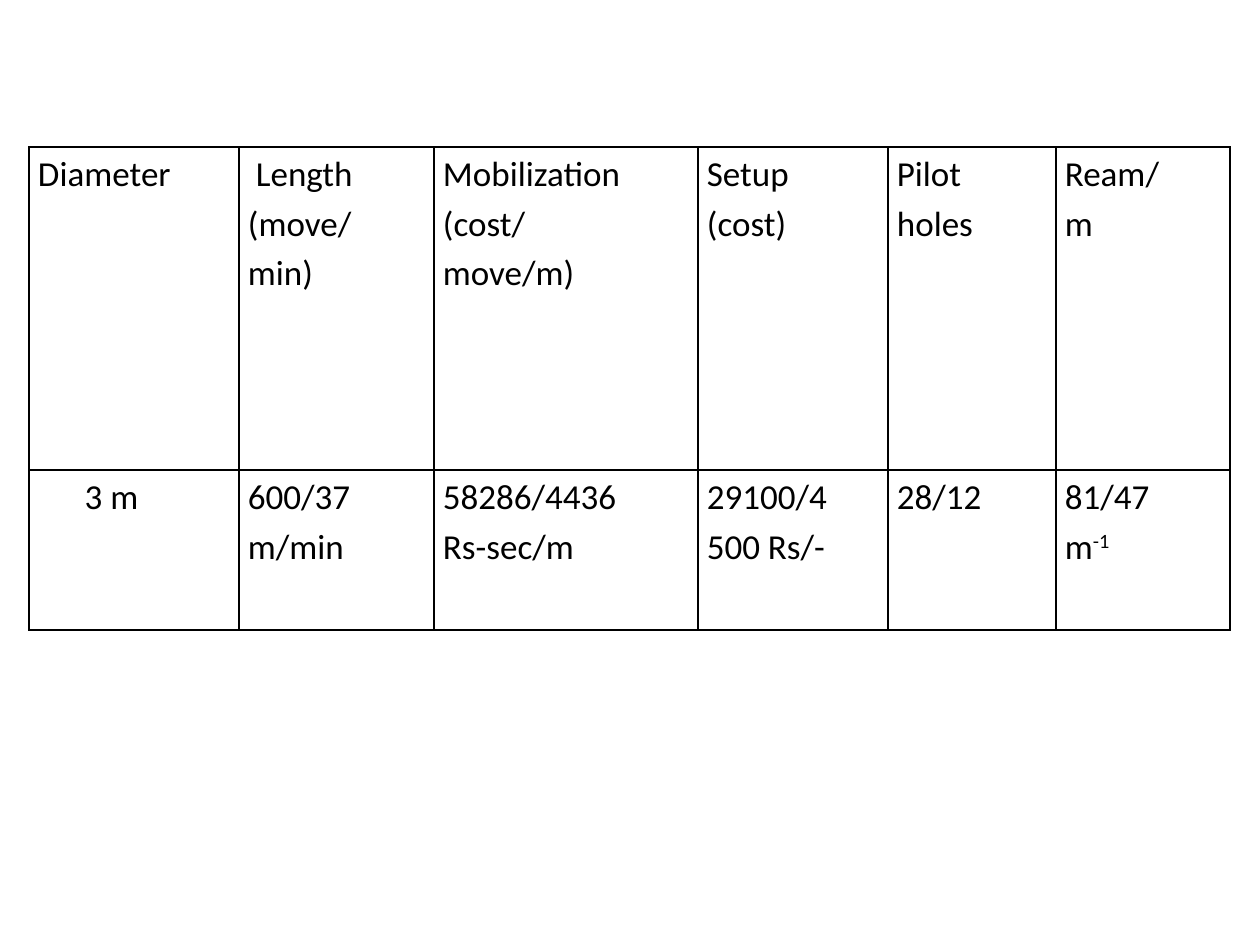
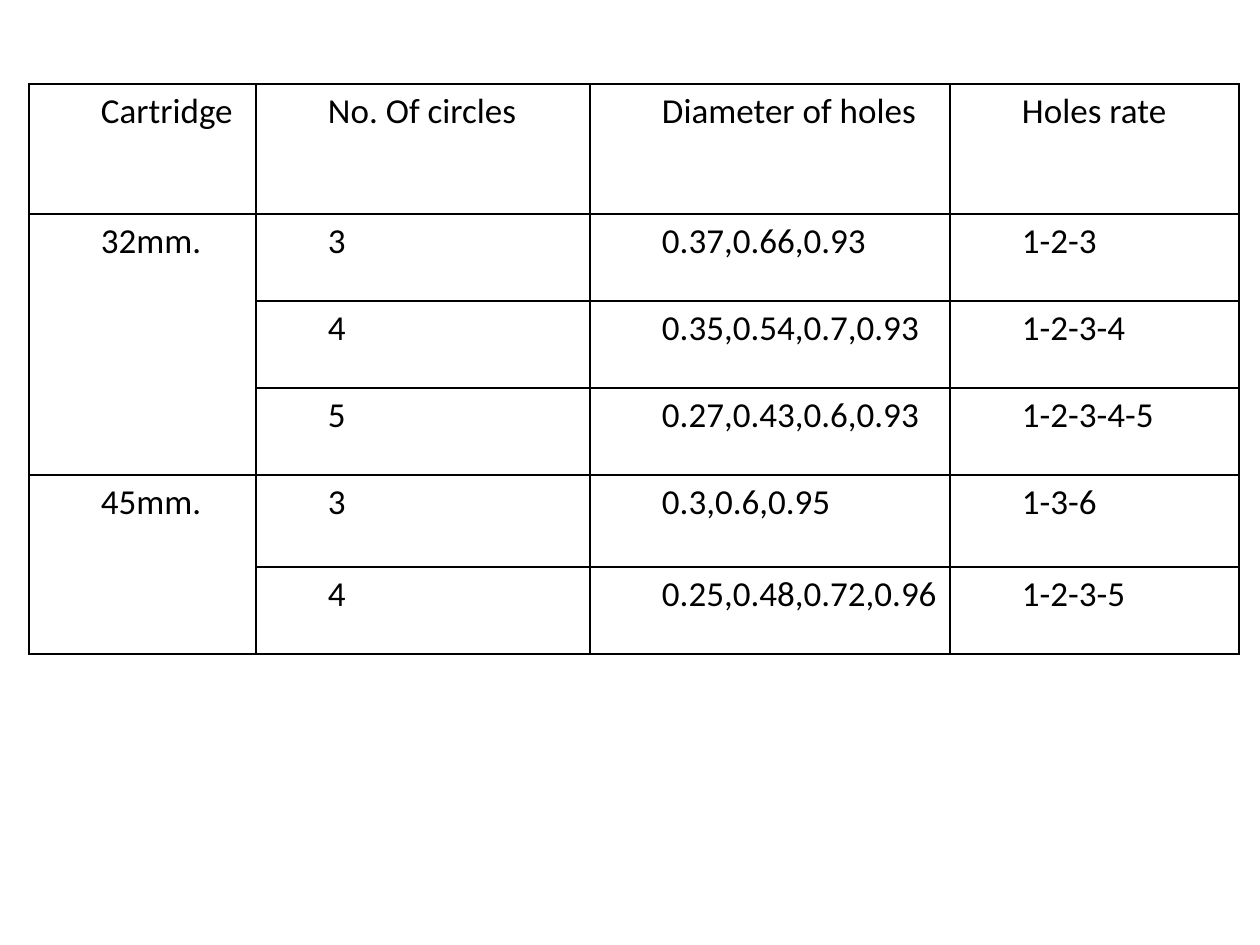
from lxml.etree import SubElement
from pptx import Presentation
from pptx.dml.color import RGBColor
from pptx.enum.text import PP_ALIGN
from pptx.oxml.ns import qn
from pptx.util import Emu, Pt

SCALE = 914400 / 126
HUES = {"ink": "000000"}
LEFT = 29


def px(n):
    return Emu(round(n * SCALE))


FONT = {"name": "Calibri", "size": Pt(20), "bold": False}
PARA = {"line_spacing": 1.15}
INSET = {"margin_left": px(9), "margin_right": px(9),
         "margin_top": 0, "margin_bottom": 0}
PLAIN = {"first_row": False, "horz_banding": False}

COSTS = [
    ["Diameter", " Length\n(move/min)", "Mobilization\n(cost/\nmove/m)",
     "Setup\n(cost)", "Pilot\nholes", "Ream/m"],
    ["3 m", "600/37 m/min", "58286/4436\nRs-sec/m",
     "29100/4500 Rs/-", "28/12", "81/47\nm^-1"],
]
HOLES = [
    ["Cartridge", "No. Of circles", "Diameter of holes", "Holes rate"],
    ["32mm.", "3", "0.37,0.66,0.93", "1-2-3"],
    [None, "4", "0.35,0.54,0.7,0.93", "1-2-3-4"],
    [None, "5", "0.27,0.43,0.6,0.93", "1-2-3-4-5"],
    ["45mm.", "3", "0.3,0.6,0.95", "1-3-6"],
    [None, "4", "0.25,0.48,0.72,0.96", "1-2-3-5"],
]


def put(item, values):
    for name, value in values.items():
        setattr(item, name, value)


def add_run(para, text, raised=False):
    run = para.add_run()
    run.text = text
    put(run.font, FONT)
    run.font.color.rgb = RGBColor.from_string(HUES["ink"])
    if raised:
        run.font._element.set("baseline", "30000")


def write(cell, text, indents):
    """Fill a cell, one paragraph a line; text after ^ is superscript."""
    frame = cell.text_frame
    for i, line in enumerate(text.split("\n")):
        para = frame.add_paragraph() if i else frame.paragraphs[0]
        put(para, PARA)
        props = para._p.get_or_add_pPr()
        for name, size in indents.items():
            props.set(name, str(px(size)))
        base, _, power = line.partition("^")
        add_run(para, base)
        if power:
            add_run(para, power, raised=True)


def rule(cell):
    """Draw a thin line on all four sides of a cell."""
    props = cell._tc.get_or_add_tcPr()
    for side in ("lnL", "lnR", "lnT", "lnB"):
        line = SubElement(props, qn(f"a:{side}"), w=str(Pt(1)))
        fill = SubElement(line, qn("a:solidFill"))
        SubElement(fill, qn("a:srgbClr"), val=HUES["ink"])


def add_grid(slide, top, widths, heights, data, indents):
    """Add a ruled table; None joins a cell to the one above."""
    table = slide.shapes.add_table(
        len(heights), len(widths), px(LEFT), px(top),
        px(sum(widths)), px(sum(heights))).table
    put(table, PLAIN)
    for col, width in zip(table.columns, widths):
        col.width = px(width)
    for row, height in zip(table.rows, heights):
        row.height = px(height)
    for r, texts in enumerate(data):
        for c, text in enumerate(texts):
            cell = table.cell(r, c)
            put(cell, INSET)
            rule(cell)
            cell.fill.background()
            if text is not None:
                write(cell, text, indents)
    join(table, data)
    return table


def join(table, data):
    for c in range(len(data[0])):
        start = 0
        for r in range(1, len(data) + 1):
            if r == len(data) or data[r][c] is not None:
                if r - start > 1:
                    table.cell(start, c).merge(table.cell(r - 1, c))
                start = r


def main():
    deck = Presentation()
    put(deck, {"slide_width": px(1260), "slide_height": px(945)})
    blank = deck.slide_layouts[6]

    costs = add_grid(deck.slides.add_slide(blank), 147,
                     [210, 195, 264, 190, 168, 174], [323, 160],
                     COSTS, {"marR": 45})
    costs.cell(1, 0).text_frame.paragraphs[0].alignment = PP_ALIGN.CENTER

    holes = add_grid(deck.slides.add_slide(blank), 84,
                     [227, 334, 360, 289], [130, 87, 87, 87, 92, 87],
                     HOLES, {"marL": 63, "indent": 0})
    for r in range(len(HOLES)):
        holes.cell(r, 3).text_frame.paragraphs[0].space_after = Pt(10)

    deck.save("out.pptx")


if __name__ == "__main__":
    main()
